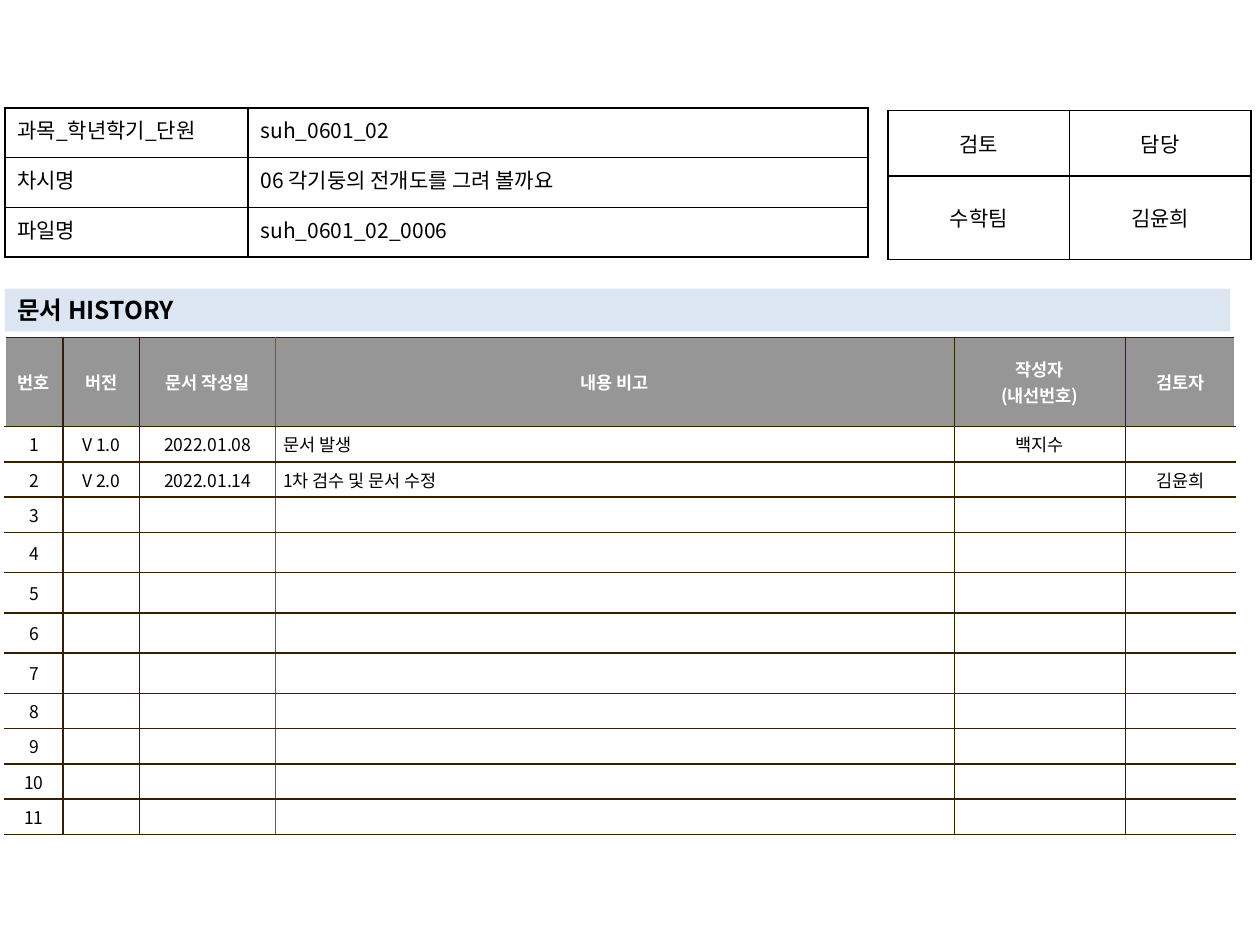
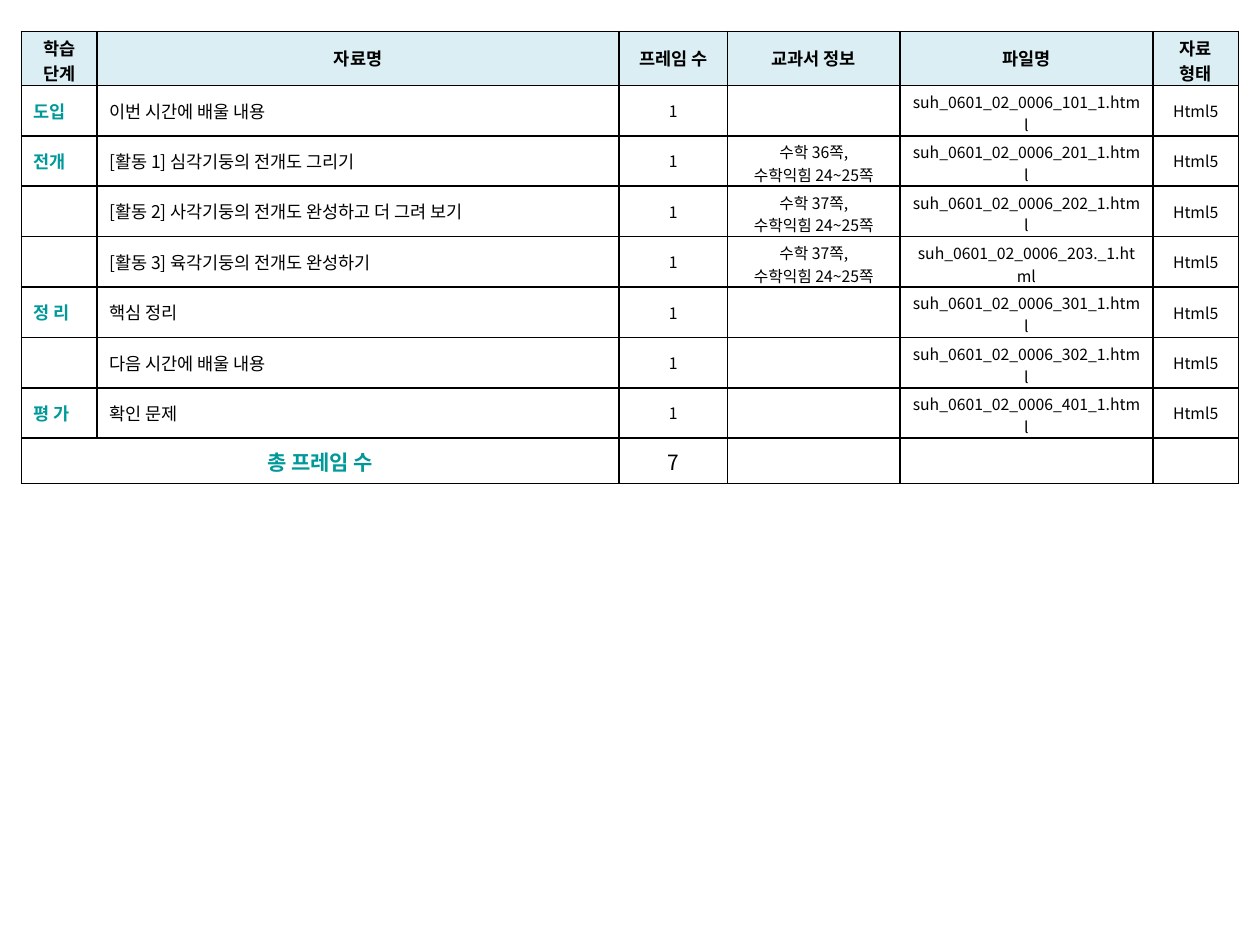
import pptx
import pptx.dml.color
import pptx.enum.text
import pptx.oxml.ns
import pptx.util
from lxml import etree

Cm, Pt = pptx.util.Cm, pptx.util.Pt
RGB = pptx.dml.color.RGBColor
ALIGN = pptx.enum.text.PP_ALIGN
MIDDLE = pptx.enum.text.MSO_ANCHOR.MIDDLE
TOP = pptx.enum.text.MSO_ANCHOR.TOP
qn = pptx.oxml.ns.qn

FONT = "Noto Sans CJK KR"
BLACK = RGB(0x00, 0x00, 0x00)
WHITE = RGB(0xFF, 0xFF, 0xFF)
BROWN = RGB(0x36, 0x20, 0x00)
TAUPE = RGB(0x64, 0x5B, 0x4C)
GRAY = RGB(0x96, 0x96, 0x96)
TEAL = RGB(0x00, 0x99, 0x99)
PALE = RGB(0xDB, 0xEE, 0xF4)
BLUE = RGB(0xDC, 0xE6, 0xF2)

STEPS = [
    ("도입", "이번 시간에 배울 내용", "", "101_1"),
    ("전개", "[활동 1] 심각기둥의 전개도 그리기", "36", "201_1"),
    ("", "[활동 2] 사각기둥의 전개도 완성하고 더 그려 보기", "37", "202_1"),
    ("", "[활동 3] 육각기둥의 전개도 완성하기", "37", "203._1"),
    ("정 리", "핵심 정리", "", "301_1"),
    ("", "다음 시간에 배울 내용", "", "302_1"),
    ("평 가", "확인 문제", "", "401_1"),
]


def write(frame, text, size=10, color=BLACK, bold=False, align=ALIGN.CENTER):
    """Fill a text frame, one paragraph for each line."""
    for i, line in enumerate(text.split("\n")):
        para = frame.paragraphs[0] if i == 0 else frame.add_paragraph()
        para.alignment = align
        if not line:
            # An empty cell still needs a text size, or its row grows
            end = etree.SubElement(para._p, qn("a:endParaRPr"))
            end.set("sz", str(size * 100))
            continue
        run = para.add_run()
        run.text = line
        font = run.font
        font.name, font.size, font.bold = FONT, Pt(size), bold
        font.color.rgb = color
        east = etree.SubElement(run._r.get_or_add_rPr(), qn("a:ea"))
        east.set("typeface", FONT)


def border(cell, edges):
    """Draw 1 pt cell borders; edges maps L, R, T, B to colours."""
    props = cell._tc.get_or_add_tcPr()
    for i, (side, color) in enumerate(edges.items()):
        line = etree.Element(qn("a:ln" + side), w=str(Pt(1)))
        fill = etree.SubElement(line, qn("a:solidFill"))
        etree.SubElement(fill, qn("a:srgbClr"), val=str(color))
        props.insert(i, line)


def pad(cell, side, top, low):
    cell.margin_left = cell.margin_right = Cm(side)
    cell.margin_top, cell.margin_bottom = Cm(top), Cm(low)


def grid(slide, box, cols, rows, data, look):
    """Place a table in box; cols and rows are shares of its size.

    look(row, col) gives the format of a cell.
    """
    left, top, width, height = box
    shape = slide.shapes.add_table(len(rows), len(cols), Cm(left), Cm(top),
                                   Cm(width), Cm(height))
    table = shape.table
    table.first_row = table.horz_banding = False
    for col, share in zip(table.columns, cols):
        col.width = Cm(width * share / sum(cols))
    for row, share in zip(table.rows, rows):
        row.height = Cm(height * share / sum(rows))
    for r, line in enumerate(data):
        for c, text in enumerate(line):
            cell, form = table.cell(r, c), look(r, c)
            fill = form.pop("fill", None)
            edges = form.pop("edges", dict.fromkeys("LRTB", BLACK))
            cell.vertical_anchor = form.pop("anchor", MIDDLE)
            pad(cell, *form.pop("pads", (0.25, 0.13, 0.13)))
            if fill is None:
                cell.fill.background()
            else:
                cell.fill.solid()
                cell.fill.fore_color.rgb = fill
            border(cell, edges)
            write(cell.text_frame, text, **form)
    return table


def lesson(slide, box):
    """Subject, lesson and file names."""
    data = [("과목_학년학기_단원", "suh_0601_02"),
            ("차시명", "06 각기둥의 전개도를 그려 볼까요"),
            ("파일명", "suh_0601_02_0006")]

    def look(r, c):
        return {"size": 12, "align": ALIGN.LEFT, "anchor": TOP}

    grid(slide, box, (1.93, 4.92), (1, 1, 1), data, look)


def review(slide, box):
    """Reviewer and person in charge."""
    data = [("검토", "담당"), ("수학팀", "김윤희")]
    grid(slide, box, (1, 1), (0.52, 0.66), data, lambda r, c: {"size": 12})


def banner(slide, box):
    """Title on a pale blue band."""
    title = slide.shapes.title
    title.left, title.top, title.width, title.height = map(Cm, box)
    title.fill.solid()
    title.fill.fore_color.rgb = BLUE
    frame = title.text_frame
    frame.auto_size = pptx.enum.text.MSO_AUTO_SIZE.NONE
    frame.vertical_anchor = MIDDLE
    frame.margin_left = Cm(0.25)
    frame.margin_top = frame.margin_bottom = 0
    write(frame, "문서 HISTORY", size=14, bold=True, align=ALIGN.LEFT)


def history(slide, box):
    """Versions of the document, with open sides."""
    data = [("번호", "버전", "문서 작성일", "내용 비고",
             "작성자\n(내선번호)", "검토자"),
            ("1", "V 1.0", "2022.01.08", "문서 발생", "백지수", ""),
            ("2", "V 2.0", "2022.01.14", "1차 검수 및 문서 수정", "", "김윤희")]
    data += [(str(n), "", "", "", "", "") for n in range(3, 12)]
    rows = [0.71] + [0.28] * 3 + [0.32] * 4 + [0.28] * 4

    def look(r, c):
        edges = {}
        if c > 0:
            edges["L"] = TAUPE if c == 3 else BROWN
        if c < 5:
            edges["R"] = TAUPE if c == 2 else BROWN
        edges.update(T=BROWN, B=BROWN)
        form = {"edges": edges, "pads": (0.15, 0.09, 0.09), "fill": WHITE}
        if r == 0:
            form.update(fill=GRAY, color=WHITE, bold=True)
        elif c == 3:
            form["align"] = ALIGN.LEFT
        return form

    grid(slide, box, (0.46, 0.61, 1.08, 5.39, 1.36, 0.87), rows, data, look)


def frames(slide, box):
    """Materials of the lesson, with the total of frames."""
    data = [("학습\n단계", "자료명", "프레임 수", "교과서 정보", "파일명",
             "자료\n형태")]
    for step, name, page, code in STEPS:
        book = f"수학 {page}쪽,\n수학익힘 24~25쪽" if page else ""
        data.append((step, name, "1", book,
                     f"suh_0601_02_0006_{code}.html", "Html5"))
    last = len(data)
    data.append(("총 프레임 수", "", str(len(STEPS)), "", "", ""))
    rows = [0.43] + [0.4] * len(STEPS) + [0.36]

    def look(r, c):
        if r == 0:
            return {"fill": PALE, "bold": True, "pads": (0.25, 0.07, 0)
                    if c in (0, 5) else (0.25, 0.13, 0.13)}
        if r == last:
            return {"size": 12, "bold": c == 0,
                    "color": TEAL if c == 0 else BLACK}
        if c == 0:
            return {"color": TEAL, "bold": True, "align": ALIGN.LEFT}
        if c == 1:
            return {"align": ALIGN.LEFT}
        # Two-line cells keep little room below
        return {"size": 9, "pads": (0.25, 0.09, 0)
                if c in (3, 4) else (0.25, 0.13, 0.13)}

    table = grid(slide, box, (0.6, 4.15, 0.86, 1.37, 2.01, 0.68), rows,
                 data, look)
    table.cell(last, 0).merge(table.cell(last, 1))


def main():
    deck = pptx.Presentation()
    deck.slide_width, deck.slide_height = Cm(25.4), Cm(19.05)

    # Document record
    first = deck.slides.add_slide(deck.slide_layouts[5])
    history(first, (0.1, 6.8, 24.8, 10.03))
    review(first, (17.9, 2.23, 7.32, 3))
    banner(first, (0.1, 5.82, 24.7, 0.86))
    lesson(first, (0.1, 2.18, 17.4, 3))

    # Lesson plan
    second = deck.slides.add_slide(deck.slide_layouts[6])
    frames(second, (0.43, 0.63, 24.54, 9.12))

    deck.save("out.pptx")


if __name__ == "__main__":
    main()
